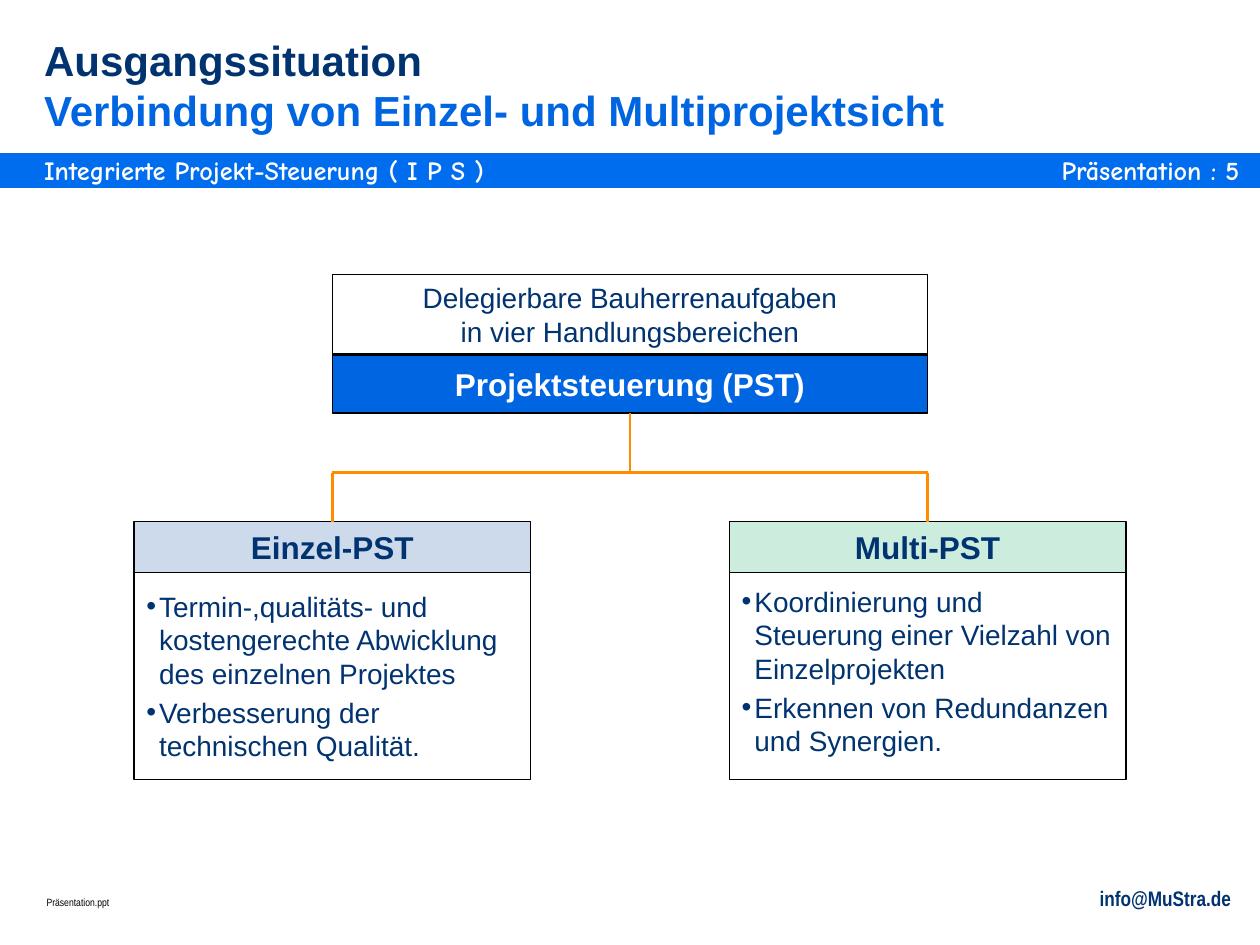
from pptx import Presentation
from pptx.util import Cm, Pt
from pptx.dml.color import RGBColor
from pptx.enum.shapes import MSO_SHAPE as Form, MSO_CONNECTOR as Link
from pptx.enum.text import PP_ALIGN as Align, MSO_ANCHOR as Anchor
from pptx.oxml.ns import qn
from lxml.etree import SubElement as Sub

NAVY, BLUE, WHITE, BLACK = "003370", "0065E0", "FFFFFF", "000000"
ORANGE, BAR = "FF8C00", "006CEE"
MID = 12.7
HALF = 6.0
SPLIT = 9.53
HEAD = 10.52
FOOT = 15.72
WIDE = 8.0


def tint(code):
    return RGBColor.from_string(code)


def place(x, y, w, h):
    return Cm(x), Cm(y), Cm(w), Cm(h)


def add_run(par, text, size, color, bold=False, font="Arial"):
    run = par.add_run()
    run.text = text
    run.font.name = font
    run.font.size = Pt(size)
    run.font.bold = bold
    run.font.color.rgb = tint(color)


def add_rows(par, rows, size):
    for i, (text, color, bold) in enumerate(rows):
        if i:
            par.add_line_break()
        add_run(par, text, size, color, bold)


def add_label(slide, spot, text, size, color, font, bold=True, align=Align.LEFT, pad=(0, 0)):
    frame = slide.shapes.add_textbox(*place(*spot)).text_frame
    frame.word_wrap = True
    frame.margin_left = frame.margin_right = Cm(pad[0])
    frame.margin_top = frame.margin_bottom = Cm(pad[1])
    par = frame.paragraphs[0]
    par.alignment = align
    add_run(par, text, size, color, bold, font)


def add_box(slide, spot, fill=None, line=BLACK, width=0.75, anchor=Anchor.MIDDLE):
    box = slide.shapes.add_shape(Form.RECTANGLE, *place(*spot))
    box.shadow.inherit = False
    if fill:
        box.fill.solid()
        box.fill.fore_color.rgb = tint(fill)
    else:
        box.fill.background()
    box.line.color.rgb = tint(line)
    box.line.width = Pt(width)
    frame = box.text_frame
    frame.word_wrap = True
    frame.vertical_anchor = anchor
    frame.paragraphs[0].alignment = Align.CENTER
    return frame


def add_line(slide, x1, y1, x2, y2):
    line = slide.shapes.add_connector(Link.STRAIGHT, Cm(x1), Cm(y1), Cm(x2), Cm(y2))
    line.line.color.rgb = tint(ORANGE)
    line.line.width = Pt(1.5)
    Sub(line._element.spPr, qn("a:effectLst"))


def add_bullet(par, text):
    props = par._p.get_or_add_pPr()
    props.set("marL", str(Cm(0.26)))
    props.set("indent", str(Cm(-0.26)))
    Sub(Sub(props, qn("a:buClr")), qn("a:srgbClr"), val=NAVY)
    Sub(props, qn("a:buFont"), typeface="Arial")
    Sub(props, qn("a:buChar"), char="•")
    par.alignment = Align.LEFT
    add_run(par, text, 16, NAVY)


def add_branch(slide, axis, name, fill, top, items):
    left = axis - WIDE / 2
    frame = add_box(slide, (left, top, WIDE, FOOT - top))
    for i, item in enumerate(items):
        par = frame.add_paragraph() if i else frame.paragraphs[0]
        if i:
            par.space_before = Pt(3)
        add_bullet(par, item)
    frame = add_box(slide, (left, HEAD, WIDE, 1.02), fill, anchor=Anchor.TOP)
    add_run(frame.paragraphs[0], name, 18, NAVY, True)
    add_line(slide, axis, SPLIT, axis, HEAD)


def add_title(slide):
    frame = slide.shapes.add_textbox(*place(0.89, 0.71, 22.4, 2.01)).text_frame
    frame.word_wrap = True
    frame.vertical_anchor = Anchor.BOTTOM
    frame.margin_left = frame.margin_right = frame.margin_top = frame.margin_bottom = 0
    par = frame.paragraphs[0]
    par.line_spacing = Pt(28.5)
    add_rows(par, [("Ausgangssituation", NAVY, True),
                   ("Verbindung von Einzel- und Multiprojektsicht", BLUE, True)], 24)


def add_frame(slide):
    add_box(slide, (0, 3.12, 25.4, 0.64), BAR, BAR, 2)
    add_label(slide, (0.89, 3.12, 18, 0.64), "Integrierte Projekt-Steuerung ( I P S )",
              15, WHITE, "Comic Neue")
    add_label(slide, (19.3, 3.12, 5.69, 0.64), "Präsentation : 5",
              15, WHITE, "Comic Neue", align=Align.RIGHT)
    pad = (0.25, 0.13)
    add_label(slide, (14.71, 17.73, 10.36, 0.76), "info@MuStra.de",
              12, NAVY, "Arial Narrow", align=Align.RIGHT, pad=pad)
    add_label(slide, (0.69, 17.93, 10.36, 0.51), "Präsentation.ppt",
              6, BLACK, "Arial Narrow", bold=False, pad=pad)


def add_root(slide):
    left, span = MID - HALF, 2 * HALF
    frame = add_box(slide, (left, 7.14, span, 1.19), BLUE)
    add_run(frame.paragraphs[0], "Projektsteuerung (PST)", 18, WHITE, True)
    frame = add_box(slide, (left, 5.54, span, 1.62), width=0.5, anchor=Anchor.TOP)
    add_rows(frame.paragraphs[0], [("Delegierbare Bauherrenaufgaben", NAVY, False),
                                   ("in vier Handlungsbereichen", NAVY, False)], 16)
    add_line(slide, MID, 8.33, MID, SPLIT)
    add_line(slide, left, SPLIT, left + span, SPLIT)


def main():
    deck = Presentation()
    deck.slide_width, deck.slide_height = Cm(25.4), Cm(19.05)
    slide = deck.slides.add_slide(deck.slide_layouts[6])
    add_frame(slide)
    add_title(slide)
    add_root(slide)
    add_branch(slide, MID - HALF, "Einzel-PST", "CCDAEC", 11.53, [
        "Termin-,qualitäts- und kostengerechte Abwicklung des einzelnen Projektes",
        "Verbesserung der technischen Qualität."])
    add_branch(slide, MID + HALF, "Multi-PST", "CCECDE", 11.33, [
        "Koordinierung und Steuerung einer Vielzahl von Einzelprojekten",
        "Erkennen von Redundanzen und Synergien."])
    deck.save("out.pptx")


if __name__ == "__main__":
    main()
